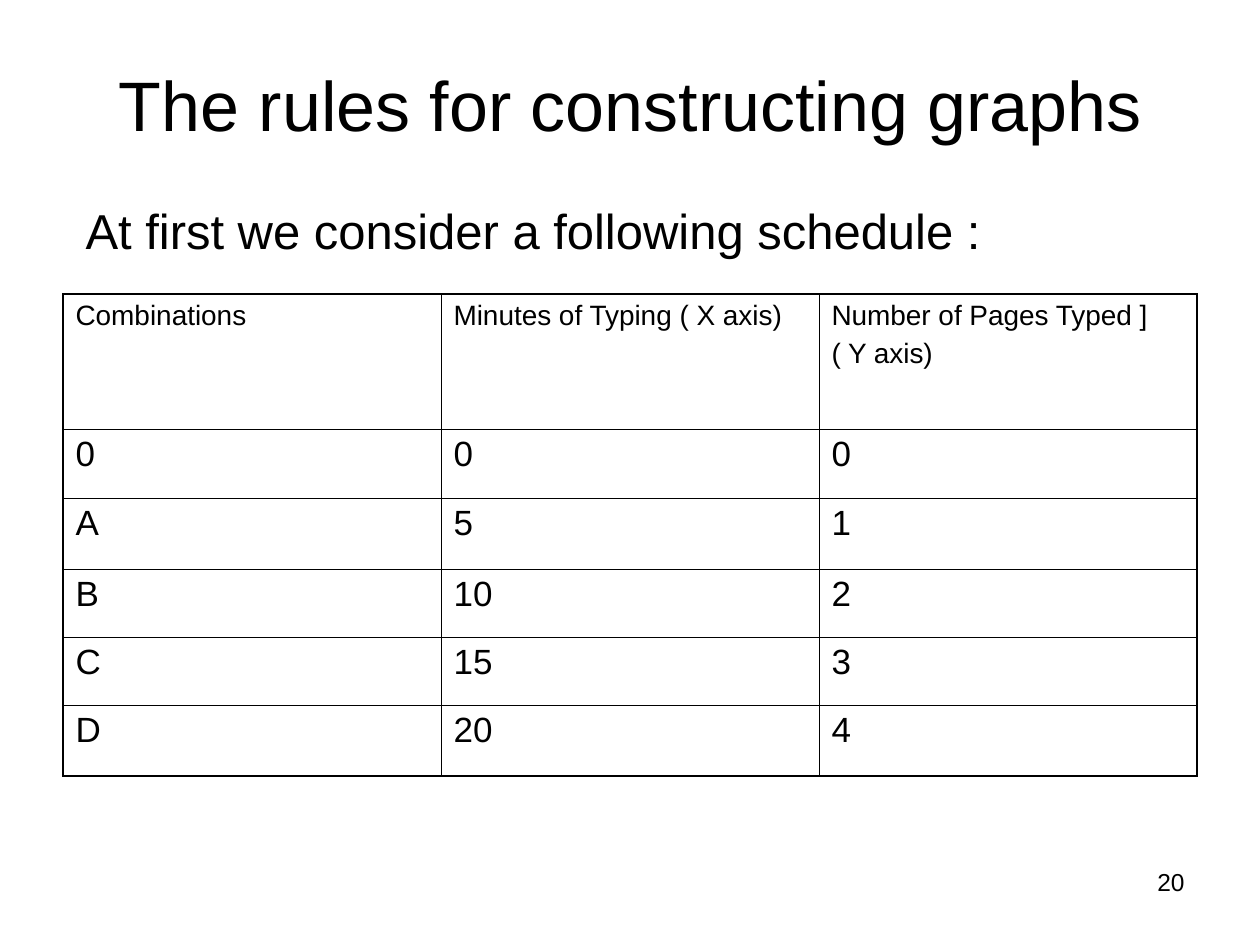
"""Build the slide that introduces the schedule behind a graph."""
import pptx
import pptx.dml.color
import pptx.enum.text
import pptx.oxml
import pptx.oxml.ns
import pptx.util

TITLE = "The rules for constructing graphs"
STATEMENT = "At first we consider a following schedule :"
PAGE_NUMBER = "20"
SCHEDULE = [
    ("Combinations", "Minutes of Typing ( X axis)", "Number of Pages Typed ]\n( Y axis)"),
    ("0", "0", "0"),
    ("A", "5", "1"),
    ("B", "10", "2"),
    ("C", "15", "3"),
    ("D", "20", "4"),
]

SCALE = 914400 // 126
SLIDE_SIZE = (1260, 945)
TITLE_BOX = (63, 38, 1134, 130)
STATEMENT_BOX = (73, 199, 1103, 72)
NUMBER_BOX = (903, 861, 294, 66)
SCHEDULE_ORIGIN = (63, 294)
COLUMN_WIDTHS = [378] * 3
ROW_HEIGHTS = [135, 69, 71, 68, 68, 71]

THEME = {
    "font": "Arial",
    "ink": "000000",
    "title": 40,
    "statement": 28,
    "header": 16,
    "body": 20,
    "number": 14,
    "outer_line": 1.08,
    "inner_line": 0.45,
}
ALIGN = pptx.enum.text.PP_ALIGN
ANCHOR = pptx.enum.text.MSO_ANCHOR


def emu(lengths):
    return [pptx.util.Emu(length * SCALE) for length in lengths]


def set_attributes(target, values):
    for name, value in values.items():
        setattr(target, name, value)


def write_text(text_frame, text, role, alignment=ALIGN.LEFT):
    text_frame.text = text
    for index, paragraph in enumerate(text_frame.paragraphs):
        paragraph.alignment = alignment
        paragraph.space_before = pptx.util.Pt(4 if index else 0)
        set_attributes(paragraph.font, {
            "name": THEME["font"],
            "size": pptx.util.Pt(THEME[role]),
            "bold": False,
        })
        paragraph.font.color.rgb = pptx.dml.color.RGBColor.from_string(THEME["ink"])


def draw_borders(cell, outer_sides):
    properties = cell._tc.get_or_add_tcPr()
    for side in "LRTB":
        points = THEME["outer_line" if outer_sides[side] else "inner_line"]
        properties.append(pptx.oxml.parse_xml(
            f'<a:ln{side} {pptx.oxml.ns.nsdecls("a")} w="{pptx.util.Pt(points)}">'
            f'<a:solidFill><a:srgbClr val="{THEME["ink"]}"/></a:solidFill></a:ln{side}>'
        ))


def add_plain_table(slide, origin, widths, heights):
    box = emu([*origin, sum(widths), sum(heights)])
    table = slide.shapes.add_table(len(heights), len(widths), *box).table
    set_attributes(table, {"first_row": False, "horz_banding": False})
    for column, width in zip(table.columns, emu(widths)):
        column.width = width
    for row, height in zip(table.rows, emu(heights)):
        row.height = height
    return table


def add_schedule(slide):
    table = add_plain_table(slide, SCHEDULE_ORIGIN, COLUMN_WIDTHS, ROW_HEIGHTS)
    last_row, last_column = len(ROW_HEIGHTS) - 1, len(COLUMN_WIDTHS) - 1
    for row, texts in enumerate(SCHEDULE):
        for column, text in enumerate(texts):
            cell = table.cell(row, column)
            draw_borders(cell, {
                "L": column == 0,
                "R": column == last_column,
                "T": row == 0,
                "B": row == last_row,
            })
            cell.fill.background()
            write_text(cell.text_frame, text, "body" if row else "header")


def add_statement(slide):
    left, top, width, height = STATEMENT_BOX
    cell = add_plain_table(slide, (left, top), [width], [height]).cell(0, 0)
    cell.fill.background()
    write_text(cell.text_frame, STATEMENT, "statement")


def main():
    presentation = pptx.Presentation()
    presentation.slide_width, presentation.slide_height = emu(SLIDE_SIZE)
    slide = presentation.slides.add_slide(presentation.slide_layouts[5])

    number = slide.shapes.add_textbox(*emu(NUMBER_BOX))
    number.text_frame.word_wrap = True
    write_text(number.text_frame, PAGE_NUMBER, "number", ALIGN.RIGHT)

    title = slide.shapes.title
    set_attributes(title, dict(zip(("left", "top", "width", "height"), emu(TITLE_BOX))))
    title.text_frame.vertical_anchor = ANCHOR.MIDDLE
    write_text(title.text_frame, TITLE, "title", ALIGN.CENTER)

    add_schedule(slide)
    add_statement(slide)
    presentation.save("out.pptx")


if __name__ == "__main__":
    main()
